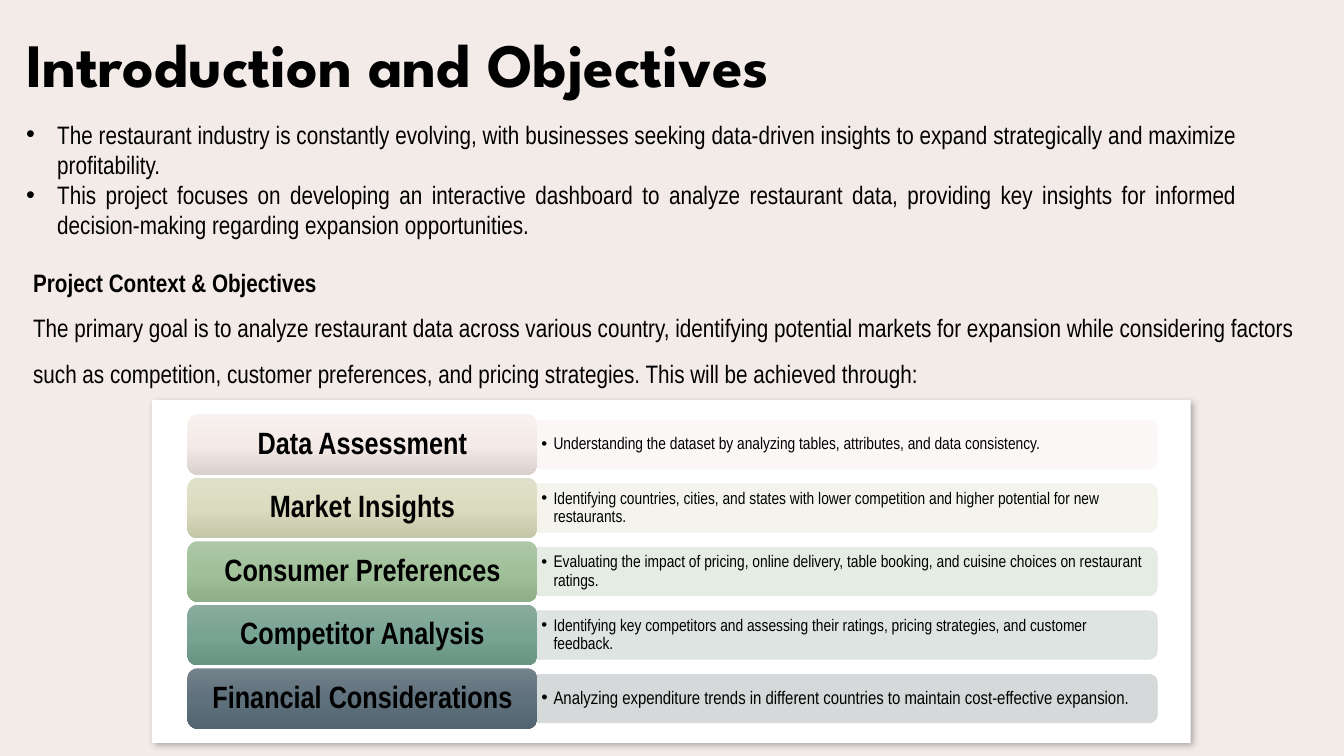
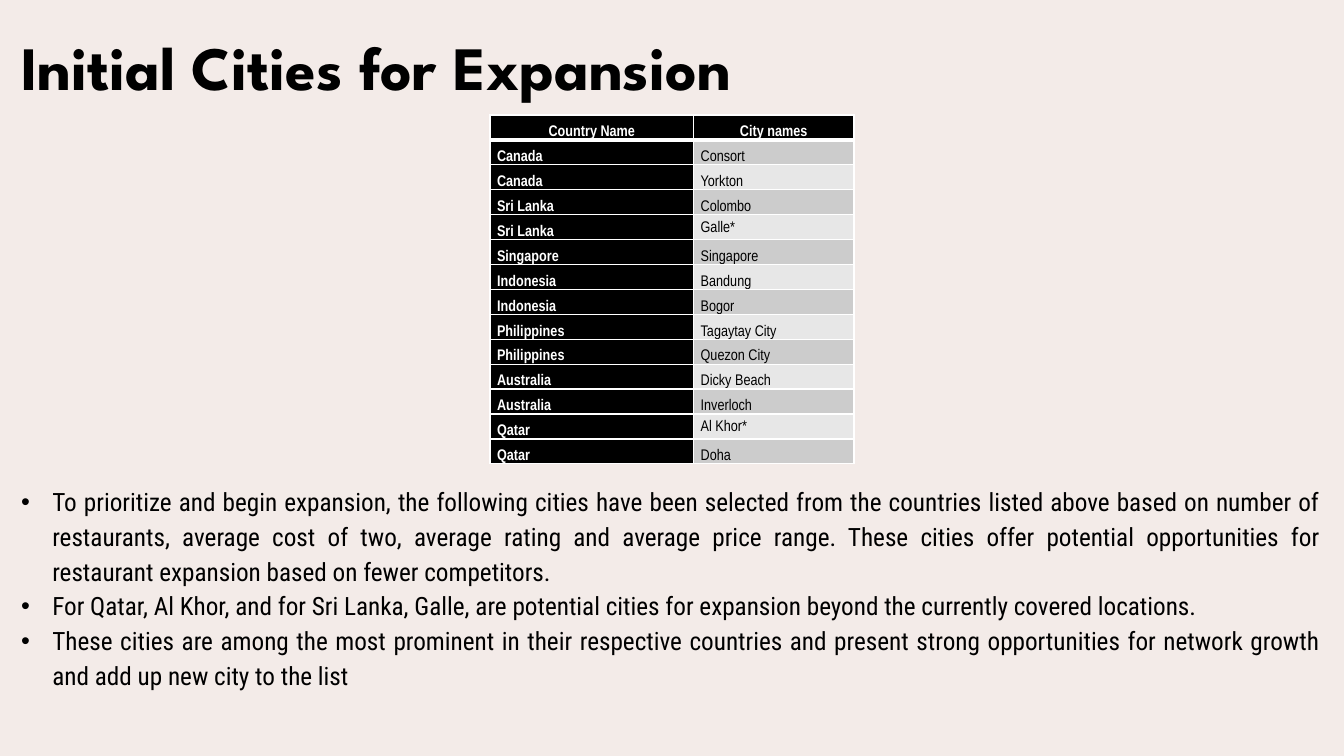
import copy
import lxml.etree
import pptx
import pptx.dml.color
import pptx.enum.shapes
import pptx.enum.text
import pptx.oxml.ns
import pptx.util

RGB = pptx.dml.color.RGBColor
PAPER = RGB(0xF3, 0xEB, 0xE8)
WHITE = RGB(0xFF, 0xFF, 0xFF)
BLACK = RGB(0, 0, 0)
STRIPES = RGB(0xCC, 0xCC, 0xCC), RGB(0xE7, 0xE7, 0xE7)

SHAPE = pptx.enum.shapes.MSO_SHAPE
ANCHOR = pptx.enum.text.MSO_ANCHOR
ALIGN = pptx.enum.text.PP_ALIGN
Pt = pptx.util.Pt
qn = pptx.oxml.ns.qn
sub = lxml.etree.SubElement

NARROW = "Arial Narrow"

prs = pptx.Presentation()
prs.slide_width = pptx.util.Inches(13.33)
prs.slide_height = pptx.util.Inches(7.5)
COL = prs.slide_width / 100
ROW = prs.slide_height / 100


def grid(x, y, w, h):
    return round(x * COL), round(y * ROW), round(w * COL), round(h * ROW)


def write(tf, texts, size, font=NARROW, color=BLACK, bold=(), align=ALIGN.LEFT,
          spacing=1.0, anchor=ANCHOR.TOP, indent=0):
    tf.word_wrap = True
    tf.vertical_anchor = anchor
    for i, text in enumerate(texts):
        p = tf.paragraphs[0] if i == 0 else tf.add_paragraph()
        p.text = text
        if indent:
            pPr = p._p.get_or_add_pPr()
            pPr.set("marL", str(pptx.util.Inches(indent)))
            pPr.set("indent", str(-pptx.util.Inches(indent)))
            sub(pPr, qn("a:buFont"), typeface="Arial")
            sub(pPr, qn("a:buChar"), char="•")
        p.alignment = align
        p.line_spacing = spacing
        p.font.size = Pt(size)
        p.font.name = font
        p.font.bold = i in bold
        p.font.color.rgb = color


slides = []
for title, x, y in [
    ("Introduction and Objectives", 1.2, 1.47),
    ("Initial Cities for Expansion", 0.83, 1.87),
]:
    s = prs.slides.add_slide(prs.slide_layouts[6])
    s.background.fill.solid()
    s.background.fill.fore_color.rgb = PAPER
    tf = s.shapes.add_textbox(*grid(x, y, 81.3, 14.8)).text_frame
    write(tf, [title], 44, "League Spartan", bold=[0], spacing=0.9, anchor=ANCHOR.MIDDLE)
    slides.append(s)

s = slides[0]
tf = s.shapes.add_textbox(*grid(1.2, 15.07, 91.6, 17.47)).text_frame
write(tf, [
    "The restaurant industry is constantly evolving, with businesses seeking data-driven "
    "insights to expand strategically and maximize profitability.",
    "This project focuses on developing an interactive dashboard to analyze restaurant data, "
    "providing key insights for informed decision-making regarding expansion opportunities.",
], 18, align=ALIGN.JUSTIFY, indent=0.31)

tf = s.shapes.add_textbox(*grid(1.73, 32.67, 97.6, 18.8)).text_frame
write(tf, [
    "Project Context & Objectives",
    "The primary goal is to analyze restaurant data across various country, identifying "
    "potential markets for expansion while considering factors such as competition, customer "
    "preferences, and pricing strategies. This will be achieved through:",
], 18, bold=[0], spacing=1.5)

panel = s.shapes.add_shape(SHAPE.RECTANGLE, *grid(11.33, 52.93, 77.27, 45.33))
panel.shadow.inherit = False
panel.fill.solid()
panel.fill.fore_color.rgb = WHITE
panel.line.fill.background()
effects = panel._element.spPr.find(qn("a:effectLst"))
shadow = sub(effects, qn("a:outerShdw"), blurRad=str(Pt(4.5)), dist=str(Pt(2.6)),
             dir=str(53 * 60000), algn="tl", rotWithShape="0")
shade = sub(shadow, qn("a:srgbClr"), val=str(BLACK))
sub(shade, qn("a:alpha"), val="30000")

objectives = [
    ("Data Assessment", 12, "FAF7F6", ("F7F1EF", "F4EBE7", "DAD0CC"),
     "Understanding the dataset by analyzing tables, attributes, and data consistency."),
    ("Market Insights", 12, "F3F3EC", ("DFE0C9", "DBDCBF", "C4C6A8"),
     "Identifying countries, cities, and states with lower competition and higher potential "
     "for new restaurants."),
    ("Consumer Preferences", 12, "E3EBE2", ("ADC7A7", "A1C19A", "8DAE87"),
     "Evaluating the impact of pricing, online delivery, table booking, and cuisine choices "
     "on restaurant ratings."),
    ("Competitor Analysis", 12, "DAE2DF", ("8AAC9E", "78A493", "699483"),
     "Identifying key competitors and assessing their ratings, pricing strategies, and "
     "customer feedback."),
    ("Financial Considerations", 13, "D2D5D7", ("74828B", "5F717D", "536571"),
     "Analyzing expenditure trends in different countries to maintain cost-effective "
     "expansion."),
]
for i, (name, size, tint, stops, detail) in enumerate(objectives):
    y = 54.8 + 8.4 * i

    left, top, length, depth = grid(39.91, y + 0.8, 46.2, 6.4)
    shift = (length - depth) // 2
    bar = s.shapes.add_shape(SHAPE.ROUND_2_SAME_RECTANGLE, left + shift, top - shift,
                             depth, length)
    bar.rotation = 90
    bar.shadow.inherit = False
    bar.line.width = Pt(0.5)
    for fill in (bar.fill, bar.line.fill):
        fill.solid()
        fill.fore_color.rgb = RGB.from_string(tint)
    for clr in bar._element.spPr.iter(qn("a:srgbClr")):
        sub(clr, qn("a:alpha"), val="90000")

    tf = s.shapes.add_textbox(*grid(39.91, y, 46.06, 8)).text_frame
    tf.margin_left = tf.margin_right = pptx.util.Inches(0.05)
    tf.margin_top = tf.margin_bottom = pptx.util.Inches(0.03)
    write(tf, [detail], size, spacing=0.9, anchor=ANCHOR.MIDDLE, indent=0.12)

    label = s.shapes.add_shape(SHAPE.ROUNDED_RECTANGLE, *grid(13.95, y, 26.03, 8))
    label.shadow.inherit = False
    label.line.fill.background()
    label.fill.gradient()
    label.fill.gradient_angle = 270
    gs = label._element.spPr.find(".//" + qn("a:gs"))
    gs.addnext(copy.deepcopy(gs))
    for stop, color, position in zip(label.fill.gradient_stops, stops, (0, 0.5, 1)):
        stop.color.rgb = RGB.from_string(color)
        stop.position = position
    write(label.text_frame, [name], 22, bold=[0], align=ALIGN.CENTER, spacing=0.9,
          anchor=ANCHOR.MIDDLE)

s = slides[1]
tf = s.shapes.add_textbox(*grid(0.83, 63.07, 98.2, 28.93)).text_frame
write(tf, [
    "To prioritize and begin expansion, the following cities have been selected from the "
    "countries listed above based on number of restaurants, average cost of two, average "
    "rating and average price range. These cities offer potential opportunities for "
    "restaurant expansion based on fewer competitors.",
    "For Qatar, Al Khor, and for Sri Lanka, Galle, are potential cities for expansion beyond "
    "the currently covered locations.",
    "These cities are among the most prominent in their respective countries and present "
    "strong opportunities for network growth and add up new city to the list",
], 18, "Roboto Condensed", align=ALIGN.JUSTIFY, spacing=1.15, indent=0.31)

cities = [
    ("Country Name", "City names"),
    ("Canada", "Consort"),
    ("Canada", "Yorkton"),
    ("Sri Lanka", "Colombo"),
    ("Sri Lanka", "Galle*"),
    ("Singapore", "Singapore"),
    ("Indonesia", "Bandung"),
    ("Indonesia", "Bogor"),
    ("Philippines", "Tagaytay City"),
    ("Philippines", "Quezon City"),
    ("Australia", "Dicky Beach"),
    ("Australia", "Inverloch"),
    ("Qatar", "Al Khor*"),
    ("Qatar", "Doha"),
]
table = s.shapes.add_table(len(cities), 2, *grid(36.46, 15.2, 27.08, 3.3 * len(cities))).table
table.columns[0].width = round(15.15 * COL)
table.columns[1].width = round(11.93 * COL)
for i, row in enumerate(cities):
    table.rows[i].height = round(3.3 * ROW)
    for j, text in enumerate(row):
        cell = table.cell(i, j)
        dark = i == 0 or j == 0
        cell.margin_left = cell.margin_right = pptx.util.Inches(0.07)
        cell.margin_top = cell.margin_bottom = 0
        tcPr = cell._tc.get_or_add_tcPr()
        for side in "LRTB":
            heavy = (i, side) in ((0, "B"), (1, "T"))
            ln = sub(tcPr, qn("a:ln" + side), w=str(Pt(3 if heavy else 1)))
            sub(sub(ln, qn("a:solidFill")), qn("a:srgbClr"), val=str(WHITE))
        cell.fill.solid()
        cell.fill.fore_color.rgb = BLACK if dark else STRIPES[(i - 1) % 2]
        write(cell.text_frame, [text], 11, color=WHITE if dark else BLACK,
              bold=[0] if dark else [], align=ALIGN.LEFT if i else ALIGN.CENTER, spacing=1.15)
        cell.vertical_anchor = ANCHOR.MIDDLE if text.endswith("*") else ANCHOR.BOTTOM

prs.save("out.pptx")
